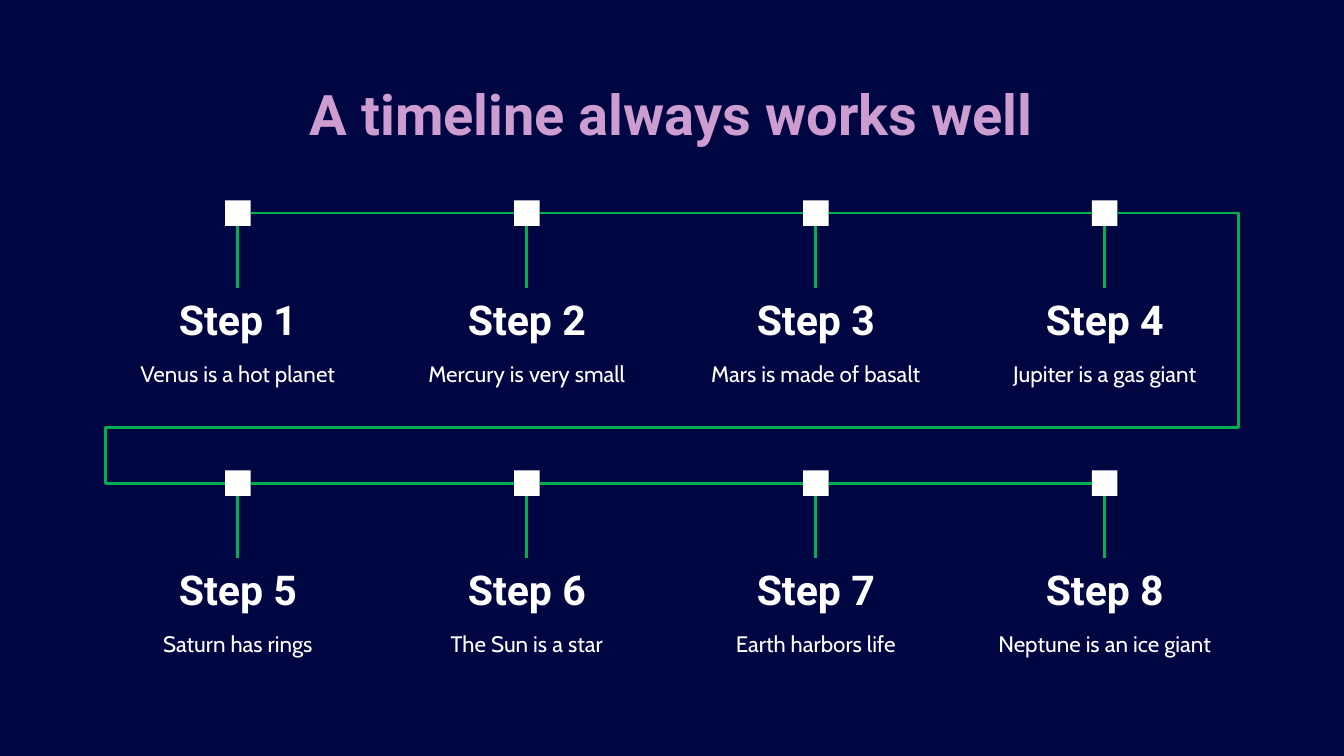
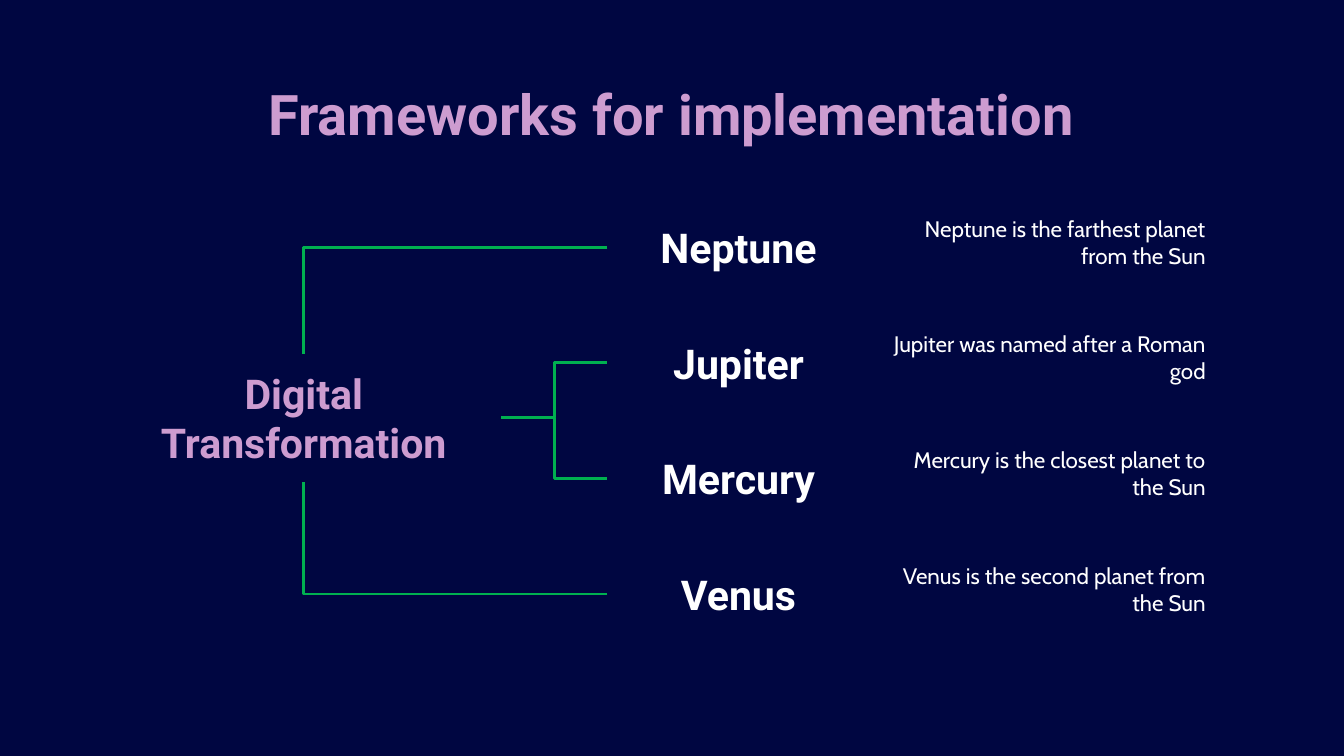
"""Build two dark slides: an eight-step timeline and a framework tree."""
from dataclasses import dataclass

from lxml import etree
from pptx import Presentation
from pptx.dml.color import RGBColor
from pptx.enum.shapes import MSO_CONNECTOR, MSO_SHAPE
from pptx.enum.text import MSO_ANCHOR, PP_ALIGN
from pptx.oxml.ns import qn
from pptx.util import Inches, Pt

CENTER, RIGHT_ALIGNED = PP_ALIGN.CENTER, PP_ALIGN.RIGHT
ANCHOR_TOP, ANCHOR_MIDDLE, ANCHOR_BOTTOM = MSO_ANCHOR.TOP, MSO_ANCHOR.MIDDLE, MSO_ANCHOR.BOTTOM
STRAIGHT, RECTANGLE = MSO_CONNECTOR.STRAIGHT, MSO_SHAPE.RECTANGLE
TOP_SITE, LEFT_SITE, BOTTOM_SITE, RIGHT_SITE = range(4)
BLANK_LAYOUT = 6


@dataclass(frozen=True)
class Theme:
    background: RGBColor = RGBColor.from_string("000641")
    accent: RGBColor = RGBColor.from_string("CD9CD0")
    light: RGBColor = RGBColor.from_string("FFFFFF")
    line: RGBColor = RGBColor.from_string("00B050")
    heading_font: str = "Roboto"
    body_font: str = "Cabin"
    title_size: int = 30
    heading_size: int = 22
    body_size: int = 12
    line_width: float = 1.5
    inset: float = 0.1


class Deck:
    def __init__(self, theme):
        self.theme = theme
        self.presentation = Presentation()
        self.presentation.slide_width = Inches(10)
        self.presentation.slide_height = Inches(10 * 9 / 16)
        self.slide = None

    def add_slide(self, title):
        layout = self.presentation.slide_layouts[BLANK_LAYOUT]
        self.slide = self.presentation.slides.add_slide(layout)
        fill = self.slide.background.fill
        fill.solid()
        fill.fore_color.rgb = self.theme.background
        self.heading(title, 0.78, 0.49, 8.43, 0.63, ANCHOR_TOP,
                     self.theme.accent, self.theme.title_size)

    def text(self, words, left, top, width, height, anchor, align, font_name, size, color, bold):
        box = self.slide.shapes.add_textbox(
            Inches(left), Inches(top), Inches(width), Inches(height))
        frame = box.text_frame
        frame.word_wrap = True
        frame.vertical_anchor = anchor
        inset = Inches(self.theme.inset)
        frame.margin_left = frame.margin_right = inset
        frame.margin_top = frame.margin_bottom = inset
        paragraph = frame.paragraphs[0]
        paragraph.text = words
        paragraph.alignment = align
        font = paragraph.font
        font.name, font.size, font.bold = font_name, Pt(size), bold
        font.color.rgb = color
        return box

    def heading(self, words, left, top, width, height, anchor, color=None, size=None):
        return self.text(words, left, top, width, height, anchor, CENTER,
                         self.theme.heading_font, size or self.theme.heading_size,
                         color or self.theme.light, True)

    def body(self, words, left, top, width, height, align):
        return self.text(words, left, top, width, height, ANCHOR_TOP, align,
                         self.theme.body_font, self.theme.body_size, self.theme.light, False)

    def marker(self, left, top, side):
        shape = self.slide.shapes.add_shape(
            RECTANGLE, Inches(left), Inches(top), Inches(side), Inches(side))
        shape.shadow.inherit = False
        shape.fill.solid()
        shape.fill.fore_color.rgb = self.theme.light
        shape.line.fill.background()
        return shape

    def link(self, start, start_site, end, end_site, preset="line", adjustments=()):
        connector = self.slide.shapes.add_connector(STRAIGHT, 0, 0, 0, 0)
        connector.begin_connect(start, start_site)
        connector.end_connect(end, end_site)
        connector.line.color.rgb = self.theme.line
        connector.line.width = Pt(self.theme.line_width)
        properties = connector._element.spPr
        etree.SubElement(properties, qn("a:effectLst"))
        geometry = properties.find(qn("a:prstGeom"))
        geometry.set("prst", preset)
        guides = geometry.find(qn("a:avLst"))
        for number, value in enumerate(adjustments, 1):
            etree.SubElement(guides, qn("a:gd"), name=f"adj{number}", fmla=f"val {value}")


def build_timeline(deck):
    rows = [
        ["Venus is a hot planet", "Mercury is very small",
         "Mars is made of basalt", "Jupiter is a gas giant"],
        ["Saturn has rings", "The Sun is a star",
         "Earth harbors life", "Neptune is an ice giant"],
    ]
    first_center, column_pitch, row_pitch = 1.77, 2.15, 2.01
    side, width = 0.19, 1.98
    deck.add_slide("A timeline always works well")
    marker_rows = []
    for row, facts in enumerate(rows):
        top = 1.49 + row * row_pitch
        markers = []
        for column, fact in enumerate(facts):
            center = first_center + column * column_pitch
            left = center - width / 2
            marker = deck.marker(center - side / 2, top, side)
            step = row * len(facts) + column + 1
            heading = deck.heading(f"Step {step}", left, top + 0.65, width, 0.52, ANCHOR_BOTTOM)
            deck.body(fact, left, top + 1.09, width, 0.35, CENTER)
            deck.link(marker, BOTTOM_SITE, heading, TOP_SITE)
            markers.append(marker)
        for marker, following in zip(markers, markers[1:]):
            deck.link(marker, RIGHT_SITE, following, LEFT_SITE)
        marker_rows.append(markers)
    deck.link(marker_rows[0][-1], RIGHT_SITE, marker_rows[1][0], LEFT_SITE,
              "bentConnector5", (-13600, 79400, 113400))


def build_frameworks(deck):
    planets = [
        ("Neptune", "Neptune is the farthest planet from the Sun"),
        ("Jupiter", "Jupiter was named after a Roman god"),
        ("Mercury", "Mercury is the closest planet to the Sun"),
        ("Venus", "Venus is the second planet from the Sun"),
    ]
    deck.add_slide("Frameworks for implementation")
    headings = []
    for row, (planet, fact) in enumerate(planets):
        top = 1.5 + row * 0.86
        deck.body(fact, 6.47, top, 2.6, 0.68, RIGHT_ALIGNED)
        headings.append(deck.heading(planet, 4.52, top, 1.95, 0.68, ANCHOR_MIDDLE))
    neptune, jupiter, mercury, venus = headings
    root = deck.heading("Digital Transformation", 0.79, 2.63, 2.94, 0.96,
                        ANCHOR_MIDDLE, deck.theme.accent)
    for planet, site in ((neptune, TOP_SITE), (venus, BOTTOM_SITE)):
        deck.link(planet, LEFT_SITE, root, site, "bentConnector2")
    for planet in (jupiter, mercury):
        deck.link(root, RIGHT_SITE, planet, LEFT_SITE, "bentConnector3", (50000,))


def main():
    deck = Deck(Theme())
    build_timeline(deck)
    build_frameworks(deck)
    deck.presentation.save("out.pptx")


if __name__ == "__main__":
    main()
